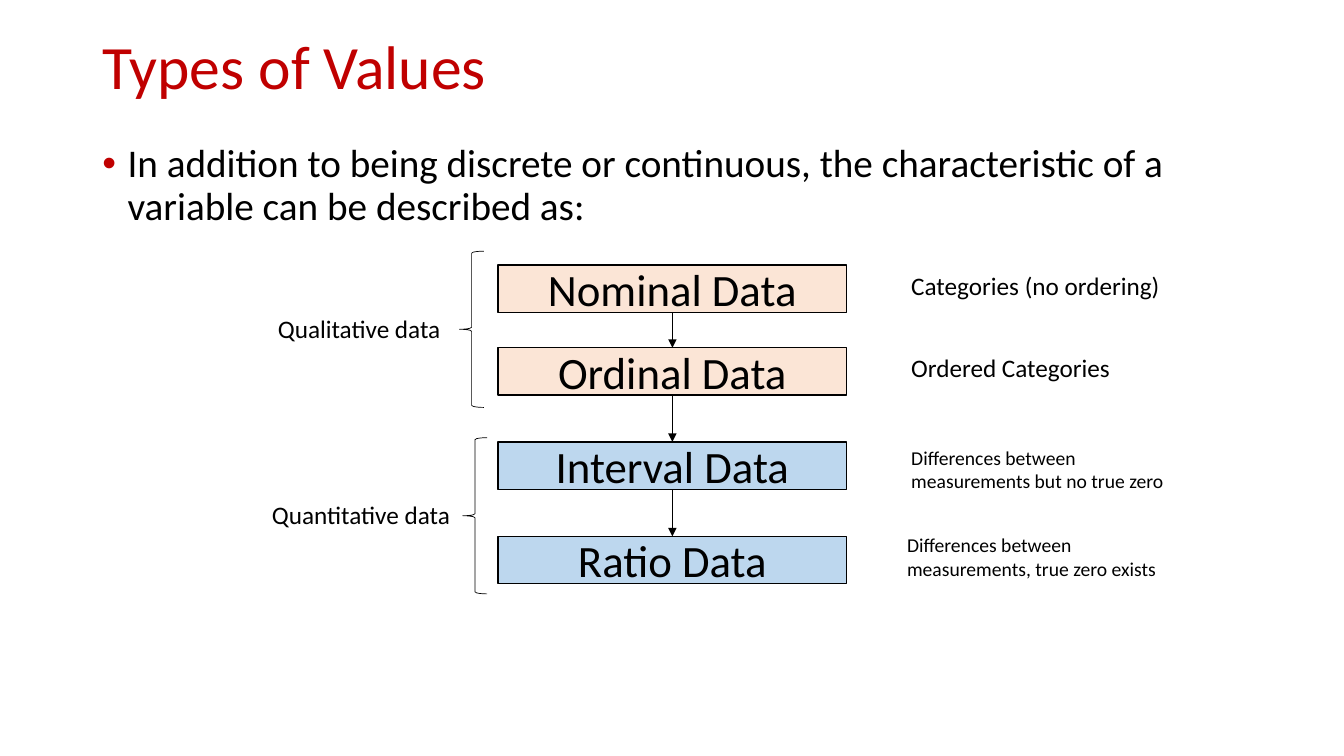
from itertools import pairwise

from lxml.etree import SubElement
from pptx import Presentation
from pptx.dml.color import RGBColor
from pptx.enum.shapes import MSO_CONNECTOR, MSO_SHAPE
from pptx.enum.text import MSO_ANCHOR, MSO_AUTO_SIZE, PP_ALIGN
from pptx.oxml.ns import qn
from pptx.util import Inches, Pt

RED = RGBColor(0xC0, 0x00, 0x00)
BLACK = RGBColor(0x00, 0x00, 0x00)
PEACH = RGBColor(0xFB, 0xE5, 0xD6)
SKY = RGBColor(0xBD, 0xD7, 0xEE)

COLUMNS, ROWS = 160, 90
TITLE_ONLY = 5

# Name, fill, top row, then the note: text, column, row, width, size
LEVELS = [
    ("Nominal Data", PEACH, 31.55, ("Categories (no ordering)", 107.3, 31.55, 45.2, 18)),
    ("Ordinal Data", PEACH, 41.4, ("Ordered Categories", 107.3, 41.3, 45.2, 18)),
    ("Interval Data", SKY, 52.6,
     ("Differences between measurements but no true zero", 107.3, 52.45, 36.1, 14)),
    ("Ratio Data", SKY, 63.85,
     ("Differences between measurements, true zero exists", 106.8, 62.9, 36.1, 14)),
]
# Label, label column, label row, brace column, brace row
FAMILIES = [
    ("Qualitative data", 31.9, 36.7, 54.7, 29.9),
    ("Quantitative data", 31.2, 58.8, 55.1, 52.1),
]


class GridSlide:
    """A slide whose lengths are given in columns and rows of a fine grid."""

    font_name = "Calibri"

    def __init__(self, deck):
        self.slide = deck.slides.add_slide(deck.slide_layouts[TITLE_ONLY])
        self.column = deck.slide_width / COLUMNS
        self.row = deck.slide_height / ROWS

    def area(self, left, top, width, height):
        return (round(left * self.column), round(top * self.row),
                round(width * self.column), round(height * self.row))

    def fill_text(self, frame, words, size, color=BLACK, align=PP_ALIGN.LEFT):
        frame.word_wrap = True
        frame.auto_size = MSO_AUTO_SIZE.NONE
        paragraph = frame.paragraphs[0]
        paragraph.text = words
        paragraph.alignment = align
        paragraph.font.name = self.font_name
        paragraph.font.size = Pt(size)
        paragraph.font.color.rgb = color
        return paragraph

    def title(self, words, *place):
        heading = self.slide.shapes.title
        heading.left, heading.top, heading.width, heading.height = self.area(*place)
        heading.text_frame.vertical_anchor = MSO_ANCHOR.MIDDLE
        self.fill_text(heading.text_frame, words, 44, RED).line_spacing = 0.9

    def text(self, words, size, *place):
        box = self.slide.shapes.add_textbox(*self.area(*place))
        return self.fill_text(box.text_frame, words, size)

    def bullet(self, words, size, *place):
        paragraph = self.text(words, size, *place)
        paragraph.line_spacing = 0.9
        paragraph.space_before = Pt(10)
        properties = paragraph._p.get_or_add_pPr()
        properties.set("marL", str(Inches(0.25)))
        properties.set("indent", str(-Inches(0.25)))
        # Bullet settings must come before the paragraph's default run font
        default_font = properties.find(qn("a:defRPr"))
        bullet_color = SubElement(properties, qn("a:buClr"))
        SubElement(bullet_color, qn("a:srgbClr"), val=str(RED))
        SubElement(properties, qn("a:buFont"), typeface="Arial")
        SubElement(properties, qn("a:buChar"), char="•")
        properties.append(default_font)

    def outline(self, preset, line_width, *place):
        shape = self.slide.shapes.add_shape(preset, *self.area(*place))
        shape.shadow.inherit = False
        shape.fill.background()
        shape.line.color.rgb = BLACK
        shape.line.width = Pt(line_width)
        return shape

    def box(self, words, fill, *place):
        box = self.outline(MSO_SHAPE.RECTANGLE, 1, *place)
        box.fill.solid()
        box.fill.fore_color.rgb = fill
        box.text_frame.vertical_anchor = MSO_ANCHOR.MIDDLE
        self.fill_text(box.text_frame, words, 32, align=PP_ALIGN.CENTER)
        return box

    def brace(self, *place):
        self.outline(MSO_SHAPE.LEFT_BRACE, 0.5, *place)

    def arrow_down(self, upper, lower):
        arrow = self.slide.shapes.add_connector(MSO_CONNECTOR.STRAIGHT, 0, 0, 0, 0)
        arrow.begin_connect(upper, 2)
        arrow.end_connect(lower, 0)
        arrow.line.color.rgb = BLACK
        arrow.line.width = Pt(0.5)
        SubElement(arrow.line._get_or_add_ln(), qn("a:tailEnd"), type="triangle")
        SubElement(arrow._element.spPr, qn("a:effectLst"))


def main():
    deck = Presentation()
    deck.slide_width, deck.slide_height = Inches(13.33), Inches(7.5)
    page = GridSlide(deck)

    page.title("Types of Values", 11, 1.3, 138, 14)
    page.bullet("In addition to being discrete or continuous, the characteristic of a "
                "variable can be described as:", 28, 11, 16.55, 138, 10.1)

    level_boxes = [page.box(name, fill, 59.3, top, 41.5, 5.65)
                   for name, fill, top, _ in LEVELS]
    for upper, lower in pairwise(level_boxes):
        page.arrow_down(upper, lower)
    for *_, (note, left, top, width, size) in LEVELS:
        page.text(note, size, left, top, width, 4.8 if size == 18 else 6.85)

    for label, label_left, label_top, brace_left, brace_top in FAMILIES:
        page.brace(brace_left, brace_top, 2.9, 18.6)
        page.text(label, 18, label_left, label_top, 30.2, 4.8)

    deck.save("out.pptx")


if __name__ == "__main__":
    main()
